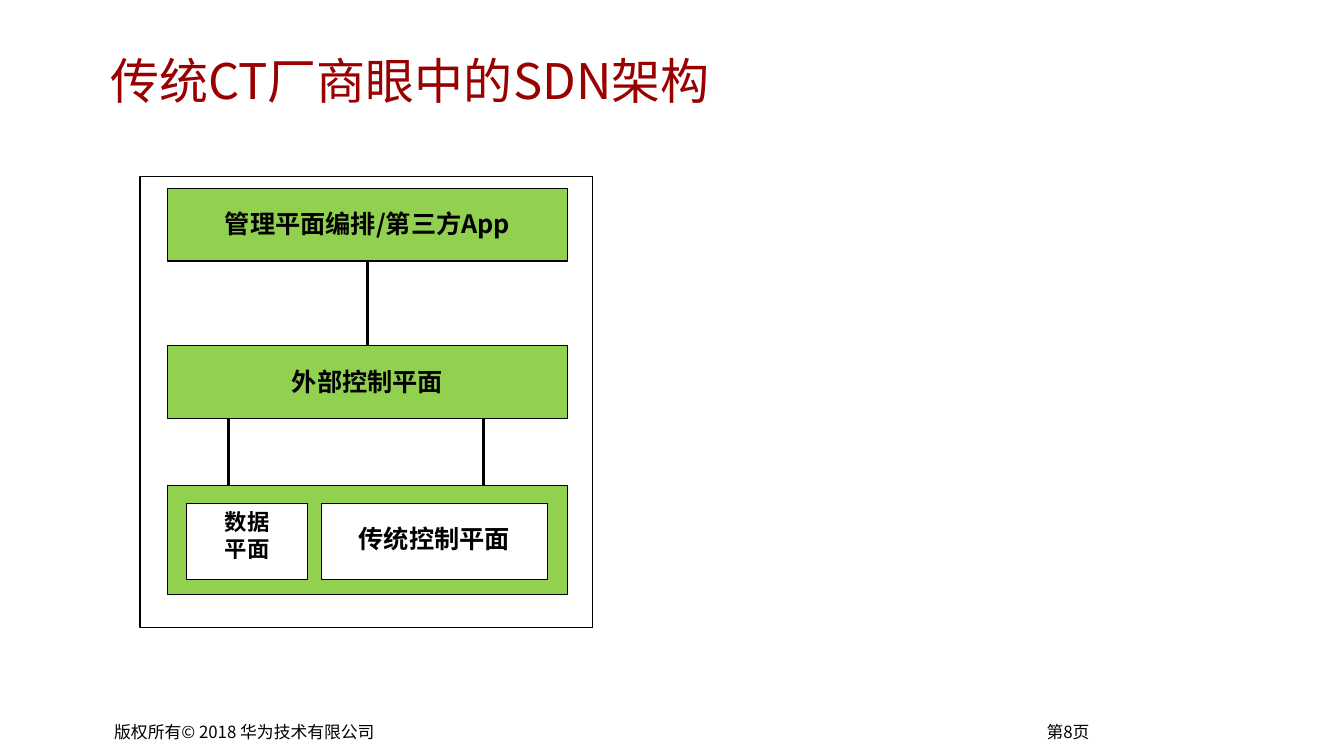
from dataclasses import dataclass

from lxml import etree
from pptx import Presentation
from pptx.dml.color import RGBColor
from pptx.enum.shapes import MSO_CONNECTOR, MSO_SHAPE
from pptx.enum.text import MSO_ANCHOR, MSO_AUTO_SIZE, PP_ALIGN
from pptx.oxml.ns import qn
from pptx.util import Pt

RECTANGLE = MSO_SHAPE.RECTANGLE
STRAIGHT = MSO_CONNECTOR.STRAIGHT
TOP, MIDDLE = MSO_ANCHOR.TOP, MSO_ANCHOR.MIDDLE
CENTER = PP_ALIGN.CENTER
FIT_SHAPE = MSO_AUTO_SIZE.SHAPE_TO_FIT_TEXT
TOP_SIDE, BOTTOM_SIDE = 0, 2


@dataclass(frozen=True)
class Theme:
    font: str = "Noto Sans CJK SC"
    title_color: RGBColor = RGBColor(0x99, 0x00, 0x00)
    ink: RGBColor = RGBColor(0x00, 0x00, 0x00)
    green: RGBColor = RGBColor(0x92, 0xD0, 0x50)
    white: RGBColor = RGBColor(0xFF, 0xFF, 0xFF)
    title_size: float = 35
    plane_size: float = 18
    data_size: float = 16
    footer_size: float = 12
    outline: float = 0.75
    link: float = 2.25


class SlideBuilder:
    def __init__(self, slide, theme):
        self.slide = slide
        self.theme = theme

    def run(self, paragraph, text, size, color, bold=False):
        """Add a run with the theme font for Latin and East Asian text."""
        run = paragraph.add_run()
        run.text = text
        run.font.name = self.theme.font
        run.font.size = Pt(size)
        run.font.bold = bold
        run.font.color.rgb = color
        east_asian = etree.SubElement(run._r.get_or_add_rPr(), qn("a:ea"))
        east_asian.set("typeface", self.theme.font)

    def label(self, left, top, width, height, text, size, color):
        """Add a one-line text box and return its text frame."""
        box = self.slide.shapes.add_textbox(Pt(left), Pt(top), Pt(width), Pt(height))
        frame = box.text_frame
        frame.margin_left = frame.margin_right = Pt(6.6)
        frame.margin_top = frame.margin_bottom = Pt(3.2)
        self.run(frame.paragraphs[0], text, size, color)
        return frame

    def title(self, left, top, width, height, text):
        frame = self.label(left, top, width, height, text,
                           self.theme.title_size, self.theme.title_color)
        frame.word_wrap = True
        frame.vertical_anchor = MIDDLE

    def footer(self, left, top, width, height, text):
        frame = self.label(left, top, width, height, text,
                           self.theme.footer_size, self.theme.ink)
        frame.word_wrap = False
        frame.auto_size = FIT_SHAPE

    def box(self, left, top, width, height, fill=None, lines=(), size=None, spacing=None):
        """Add an outlined rectangle with one centred paragraph per line."""
        shape = self.slide.shapes.add_shape(
            RECTANGLE, Pt(left), Pt(top), Pt(width), Pt(height))
        shape.shadow.inherit = False
        shape.line.color.rgb = self.theme.ink
        shape.line.width = Pt(self.theme.outline)
        if fill is None:
            shape.fill.background()
        else:
            shape.fill.solid()
            shape.fill.fore_color.rgb = fill
        frame = shape.text_frame
        frame.word_wrap = True
        frame.vertical_anchor = TOP
        for index, line in enumerate(lines):
            paragraph = frame.add_paragraph() if index else frame.paragraphs[0]
            paragraph.alignment = CENTER
            paragraph.line_spacing = spacing
            self.run(paragraph, line, size, self.theme.ink, bold=True)
        return shape

    def link(self, x, top, bottom):
        """Add a vertical line between two heights."""
        line = self.slide.shapes.add_connector(
            STRAIGHT, Pt(x), Pt(top), Pt(x), Pt(bottom))
        line.line.color.rgb = self.theme.ink
        line.line.width = Pt(self.theme.link)
        etree.SubElement(line._element.spPr, qn("a:effectLst"))
        return line


def main():
    presentation = Presentation()
    presentation.slide_width, presentation.slide_height = Pt(960), Pt(540)
    theme = Theme()
    builder = SlideBuilder(
        presentation.slides.add_slide(presentation.slide_layouts[6]), theme)

    builder.footer(741, 512, 53, 21, "第8页")
    builder.footer(75, 512, 205, 21, "版权所有© 2018 华为技术有限公司")
    builder.title(72, 23, 832, 68, "传统CT厂商眼中的SDN架构")

    builder.box(100, 126, 323, 322.5)
    plane_left, plane_width, plane_height = 119.5, 286, 52
    management_top, control_top, device_top = 134.5, 247, 347
    management, control = [
        builder.box(plane_left, top, plane_width, plane_height, theme.green,
                    [text], theme.plane_size, 1.5)
        for top, text in ((management_top, "管理平面编排/第三方App"),
                          (control_top, "外部控制平面"))
    ]

    builder.box(plane_left, device_top, plane_width, 78, theme.green)
    inner_top, inner_height = device_top + 12.5, 54.5
    builder.box(133, inner_top, 87, inner_height, theme.white,
                ["数据", "平面"], theme.data_size)
    builder.box(229.5, inner_top, 161.5, inner_height, theme.white,
                ["传统控制平面"], theme.plane_size, 1.5)

    orchestration = builder.link(plane_left + plane_width / 2,
                                 management_top + plane_height, control_top)
    orchestration.begin_connect(management, BOTTOM_SIDE)
    orchestration.end_connect(control, TOP_SIDE)
    for device_x in (163, 345.5):
        builder.link(device_x, control_top + plane_height, device_top)

    presentation.save("out.pptx")


if __name__ == "__main__":
    main()
